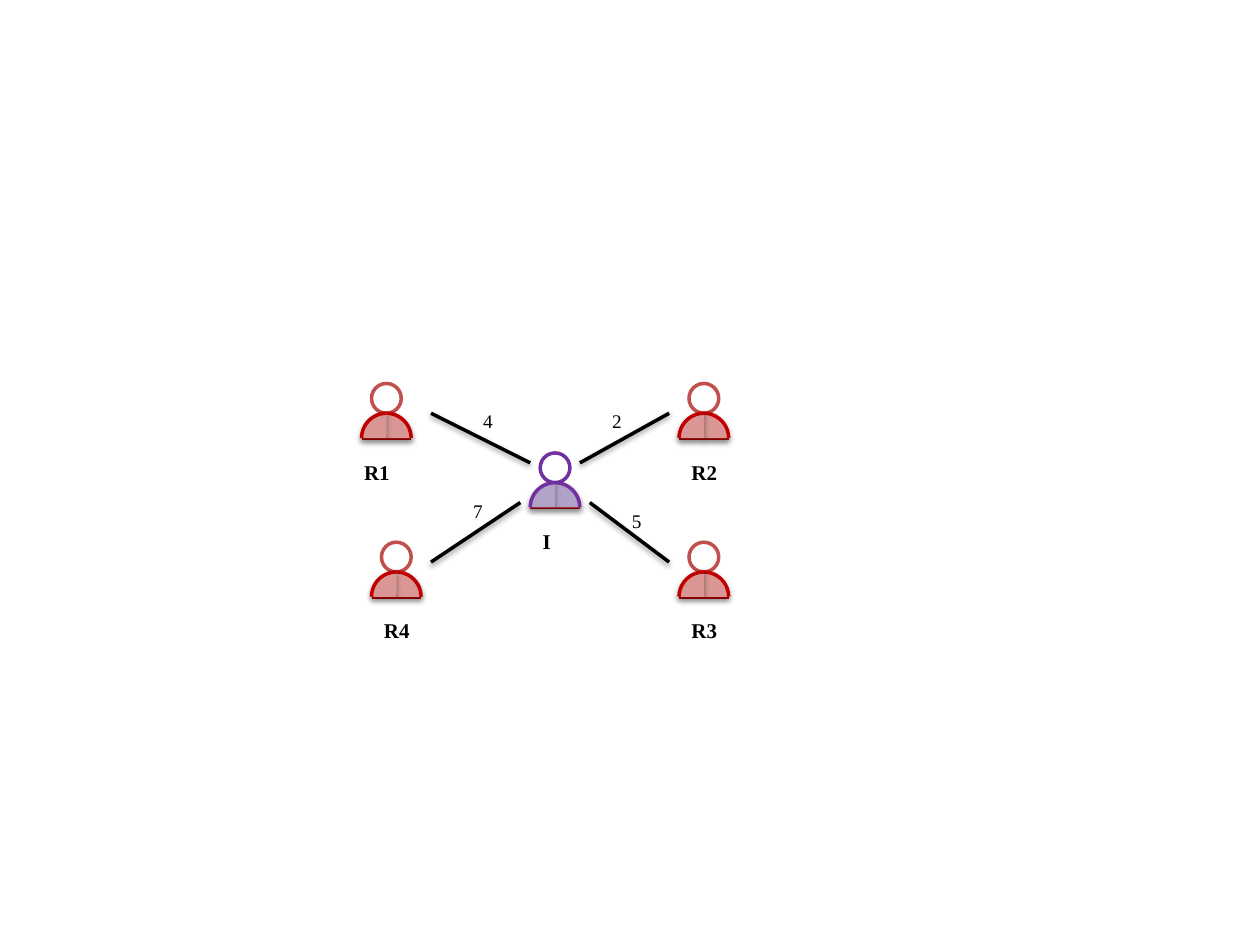
from lxml import etree
from pptx import Presentation
from pptx.dml.color import RGBColor
from pptx.enum.shapes import MSO_CONNECTOR, MSO_SHAPE
from pptx.enum.text import MSO_AUTO_SIZE
from pptx.oxml.ns import qn
from pptx.util import Inches, Mm, Pt

STRAIGHT = MSO_CONNECTOR.STRAIGHT
ELLIPSE = MSO_SHAPE.OVAL
ARC = MSO_SHAPE.ARC
FIT_SHAPE = MSO_AUTO_SIZE.SHAPE_TO_FIT_TEXT

LEFT, TOP, STEP = Inches(2.87), Inches(3.28), Mm(2)
BLACK, WHITE, RED, PURPLE = "000000", "FFFFFF", "C00000", "7030A0"
# head line, body line, body fill
RESPONDER = ("C0504D", RED, "D99694")
INITIATOR = (PURPLE, PURPLE, "B3A2C7")


def color(hex_text):
    """Turn a hex string into a colour."""
    return RGBColor.from_string(hex_text)


def add_shadow(shape):
    """Give a shape or connector a soft shadow straight below it."""
    properties = shape._element.spPr
    effects = properties.find(qn("a:effectLst"))
    if effects is None:
        effects = etree.SubElement(properties, qn("a:effectLst"))
    shadow = etree.SubElement(effects, qn("a:outerShdw"), blurRad="40000",
                              dist="20000", dir="5400000", rotWithShape="0")
    tint = etree.SubElement(shadow, qn("a:srgbClr"), val=BLACK)
    etree.SubElement(tint, qn("a:alpha"), val="38000")


class Diagram:
    """Draws a network of people on a 2 mm grid."""

    font = "Times New Roman"
    line_width = Pt(2)

    def __init__(self, slide):
        """Keep the slide to draw on."""
        self.slide = slide

    def place(self, column, row):
        """Return the slide position of a grid point."""
        return LEFT + round(column * STEP), TOP + round(row * STEP)

    def line(self, start, end, line_color=BLACK):
        """Draw a shadowed line between two grid points."""
        connector = self.slide.shapes.add_connector(
            STRAIGHT, *self.place(*start), *self.place(*end))
        connector.line.color.rgb = color(line_color)
        connector.line.width = self.line_width
        add_shadow(connector)

    def outline(self, kind, column, row, size, fill, line_color):
        """Draw a square preset shape without a shadow."""
        shape = self.slide.shapes.add_shape(
            kind, *self.place(column, row), size * STEP, size * STEP)
        shape.shadow.inherit = False
        shape.fill.solid()
        shape.fill.fore_color.rgb = color(fill)
        shape.line.color.rgb = color(line_color)
        shape.line.width = self.line_width
        return shape

    def person(self, column, row, palette):
        """Draw a head, a base line and two mirrored shoulders."""
        head_line, body_line, body_fill = palette
        self.outline(ELLIPSE, column + 1, row - 3, 3, WHITE, head_line)
        self.line((column, row + 2.5), (column + 5, row + 2.5), RED)
        for mirrored in (False, True):
            shoulder = self.outline(ARC, column, row, 5, body_fill, body_line)
            add_shadow(shoulder)
            if mirrored:
                shoulder._element.spPr.get_or_add_xfrm().set("flipH", "1")

    def label(self, text, column, row, width, height, size, bold=False):
        """Write a short label; the bold ones wrap in their box."""
        box = self.slide.shapes.add_textbox(
            *self.place(column, row), Inches(width), Inches(height))
        frame = box.text_frame
        frame.text = text
        frame.word_wrap = bold
        frame.auto_size = FIT_SHAPE
        font = frame.paragraphs[0].runs[0].font
        font.name = self.font
        font.size = Pt(size)
        font.bold = bold
        font.color.rgb = color(BLACK)


def main():
    """Build the slide and save it."""
    presentation = Presentation()
    presentation.slide_width, presentation.slide_height = Inches(10), Inches(7.5)
    blank = presentation.slide_layouts[6]
    diagram = Diagram(presentation.slides.add_slide(blank))

    people = [("R1", 0, 0, RESPONDER), ("I", 17, 7, INITIATOR),
              ("R3", 32, 16, RESPONDER), ("R2", 32, 0, RESPONDER),
              ("R4", 1, 16, RESPONDER)]
    for name, column, row, palette in people:
        diagram.person(column, row, palette)

    links = [((7, 0), (17, 5)), ((7, 15), (16, 9)),
             ((22, 5), (31, 0)), ((23, 9), (31, 15))]
    for start, end in links:
        diagram.line(start, end)

    weights = [("4", 11, -1), ("5", 26, 9), ("7", 10, 8), ("2", 24, -1)]
    for weight, column, row in weights:
        diagram.label(weight, column, row, 0.28, 0.29, 11)

    name_widths = {"I": 0.25, "R1": 0.41, "R2": 0.47, "R3": 0.47, "R4": 0.55}
    for name, column, row, palette in people:
        shift = -1 if name == "R1" else 0
        diagram.label(name, column + shift, row + 4, name_widths[name],
                      0.3, 12, bold=True)

    presentation.save("out.pptx")


main()
